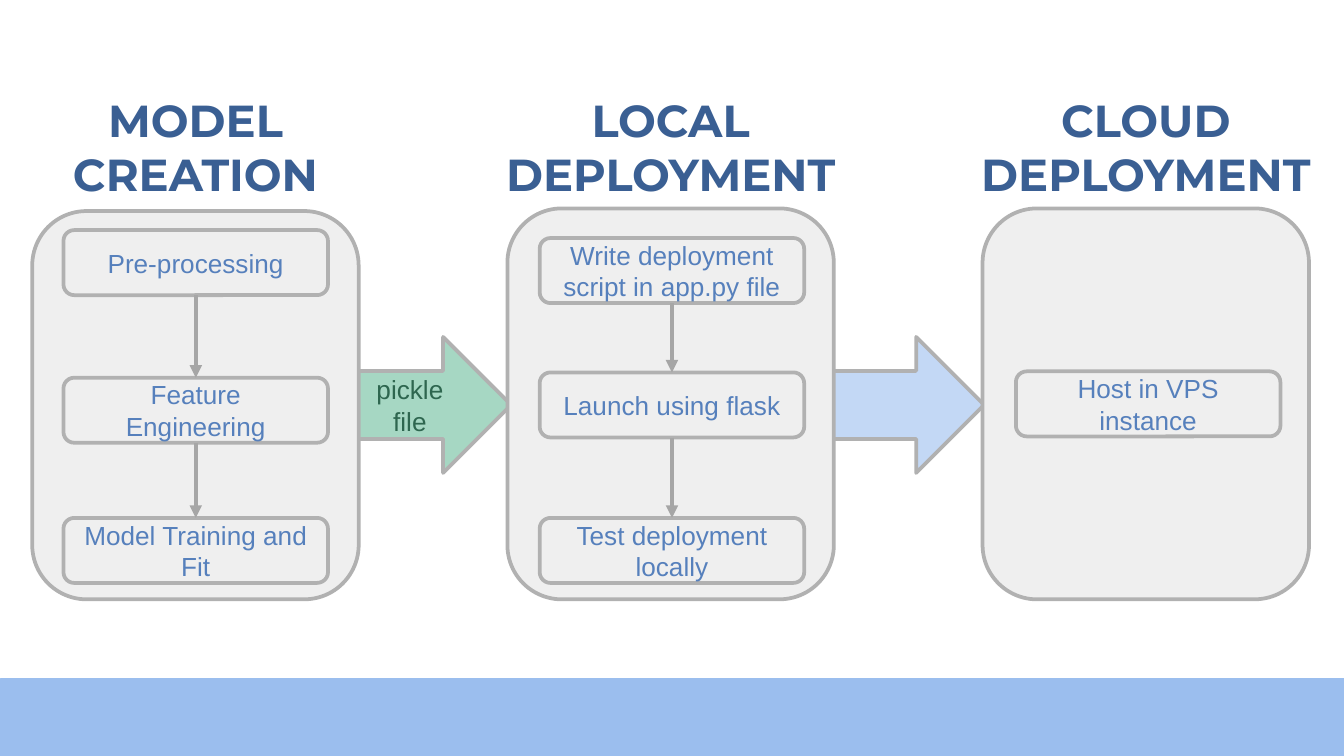
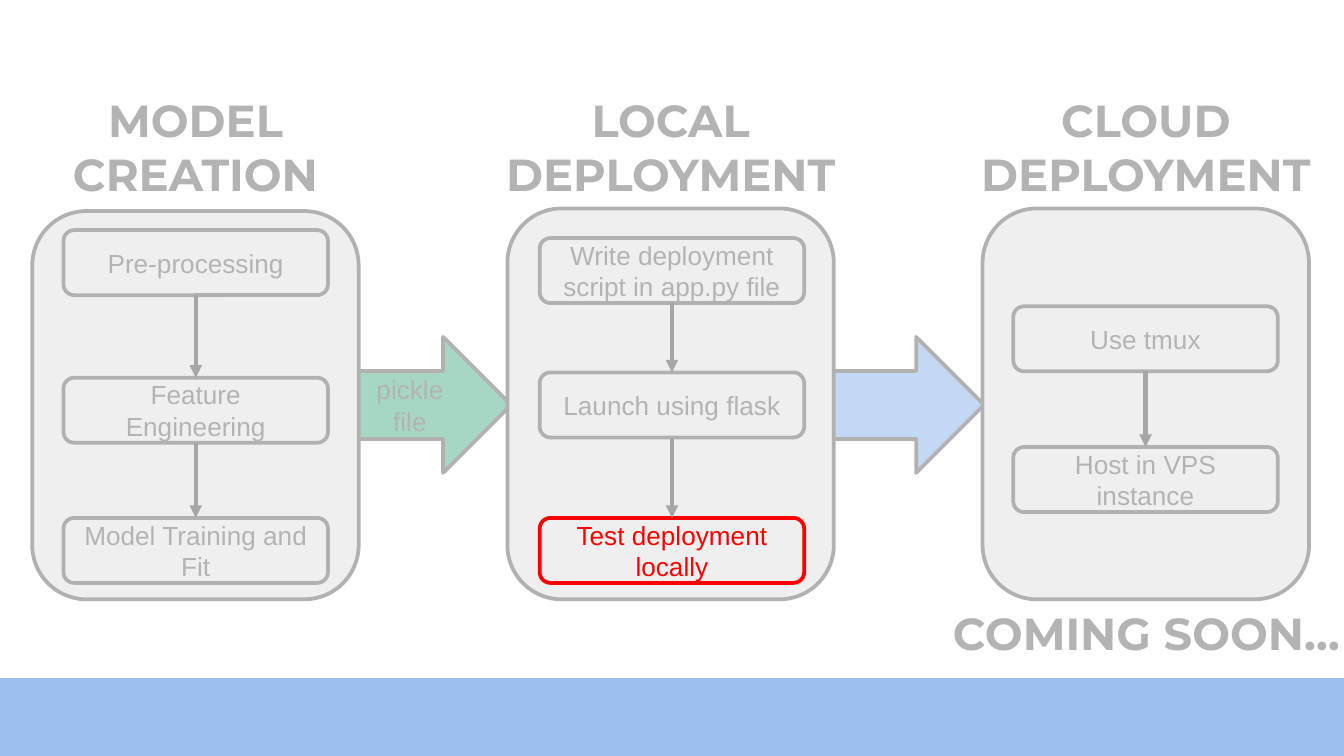
"""Build two slides on a model deployment workflow: the overview and the current status."""
import lxml.etree
import pptx
import pptx.dml.color
import pptx.enum.shapes
import pptx.enum.text
import pptx.oxml.ns
import pptx.util

Cm = pptx.util.Cm
Pt = pptx.util.Pt
SHAPE = pptx.enum.shapes.MSO_SHAPE
qn = pptx.oxml.ns.qn
color = pptx.dml.color.RGBColor.from_string

OUTLINE, PANEL, MUTED, ALERT = "B1B1B1", "EFEFEF", "B3B3B3", "FF0000"
HEADING, STEP, PICKLE = "3A5F93", "5680BC", "2E664F"
BAND, GREEN, BLUE, FLOW = "9BBEEE", "A6D7C3", "C3D8F5", "A6A6A6"

COLUMN_PITCH = 8.98
PANEL_BOTTOM = 11.33
PANEL_WIDTH = 6.17
STEP_WIDTH, STEP_HEIGHT = 5, 1.23


def write_text(shape, text, text_color, size=14, font="Arial", bold=False):
    shape.text_frame.word_wrap = True
    paragraph = shape.text_frame.paragraphs[0]
    paragraph.text = text
    paragraph.alignment = pptx.enum.text.PP_ALIGN.CENTER
    paragraph.font.size = Pt(size)
    paragraph.font.name = font
    paragraph.font.bold = bold
    paragraph.font.color.rgb = color(text_color)


def add_box(slide, kind, left, top, width, height, fill, outline=OUTLINE, weight=2):
    box = slide.shapes.add_shape(kind, Cm(left), Cm(top), Cm(width), Cm(height))
    box.shadow.inherit = False
    box.fill.solid()
    box.fill.fore_color.rgb = color(fill)
    box.line.color.rgb = color(outline)
    box.line.width = Pt(weight)
    return box


model_steps = [("Pre-processing", 4.35), ("Feature Engineering", 7.14), ("Model Training and Fit", 9.79)]
local_steps = [
    ("Write deployment script in app.py file", 4.5),
    ("Launch using flask", 7.04),
    ("Test deployment locally", 9.79),
]
overview = {
    "heading": HEADING, "step": STEP, "pickle": PICKLE, "current": None, "note": None,
    "cloud": [("Host in VPS instance", 7.02)], "cloud_left": 19.2,
}
status = {
    "heading": MUTED, "step": MUTED, "pickle": MUTED,
    "current": "Test deployment locally", "note": "COMING SOON…",
    "cloud": [("Use tmux", 5.79), ("Host in VPS instance", 8.45)], "cloud_left": 19.15,
}

deck = pptx.Presentation()
deck.slide_width = Cm(25.4)
deck.slide_height = Cm(14.29)
blank = deck.slide_layouts[6]
for placeholder in list(blank.placeholders):
    blank.shapes.element.remove(placeholder.element)

for stage in (overview, status):
    slide = deck.slides.add_slide(blank)
    if stage is overview:
        band = add_box(slide, SHAPE.RECTANGLE, 0.02, 12.83, 25.38, 1.46, BAND, BAND, 0.75)
        blank.shapes.element.append(band.element)

    handover, release = [
        add_box(slide, SHAPE.RIGHT_ARROW, 6.48 + 8.94 * index, 6.37, 3.18, 2.57, fill)
        for index, fill in enumerate((GREEN, BLUE))
    ]
    write_text(handover, "pickle file", stage["pickle"])
    handover.text_frame.margin_left = handover.text_frame.margin_right = Cm(0.45)

    columns = [
        ("MODEL CREATION", 3.99, 1.2, model_steps),
        ("LOCAL DEPLOYMENT", 3.94, 10.2, local_steps),
        ("CLOUD DEPLOYMENT", 3.94, stage["cloud_left"], stage["cloud"]),
    ]
    captions = []
    for index, (heading, panel_top, step_left, steps) in enumerate(columns):
        column_left = COLUMN_PITCH * index
        captions.append((heading, column_left, 1.63, 7.39, 2.31))
        add_box(slide, SHAPE.ROUNDED_RECTANGLE, 0.61 + column_left, panel_top,
                PANEL_WIDTH, PANEL_BOTTOM - panel_top, PANEL)

        previous = None
        for label, top in steps:
            is_current = label == stage["current"]
            step = add_box(slide, SHAPE.ROUNDED_RECTANGLE, step_left, top, STEP_WIDTH, STEP_HEIGHT,
                           PANEL, ALERT if is_current else OUTLINE)
            write_text(step, label, ALERT if is_current else stage["step"])
            if previous is not None:
                flow = slide.shapes.add_connector(pptx.enum.shapes.MSO_CONNECTOR.STRAIGHT, 0, 0, 0, 0)
                flow.begin_connect(previous, 2)
                flow.end_connect(step, 0)
                flow.line.color.rgb = color(FLOW)
                flow.line.width = Pt(2.25)
                properties = flow.element.spPr
                lxml.etree.SubElement(properties.find(qn("a:ln")), qn("a:tailEnd"), type="triangle")
                lxml.etree.SubElement(properties, qn("a:effectLst"))
            previous = step

    if stage["note"]:
        captions.append((stage["note"], 17.6, PANEL_BOTTOM, 8.13, 1.27))
    for text, left, top, width, height in captions:
        caption = slide.shapes.add_textbox(Cm(left), Cm(top), Cm(width), Cm(height))
        write_text(caption, text, stage["heading"], 24, "Montserrat", True)
        caption.text_frame.auto_size = pptx.enum.text.MSO_AUTO_SIZE.SHAPE_TO_FIT_TEXT

deck.save("out.pptx")
